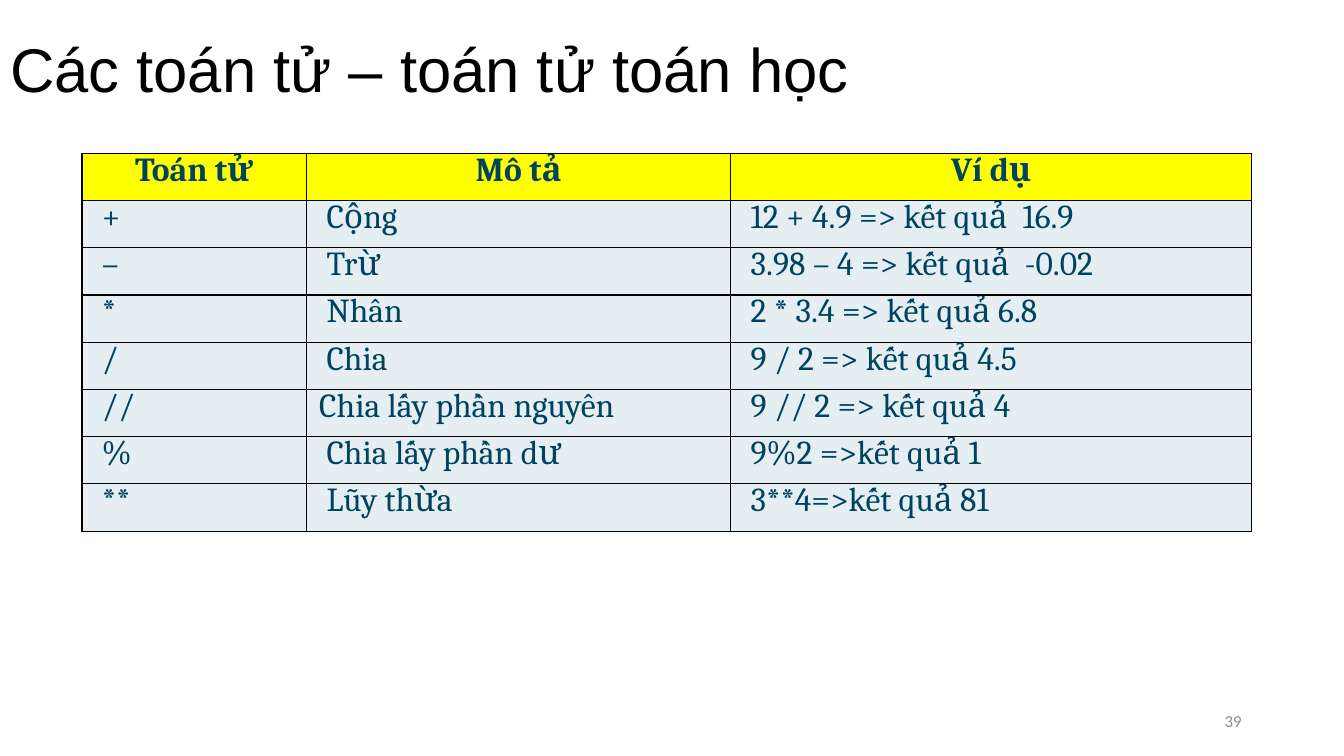
from dataclasses import dataclass

from lxml.etree import SubElement
from pptx import Presentation
from pptx.dml.color import RGBColor
from pptx.enum.text import MSO_ANCHOR as Anchor, PP_ALIGN as Align
from pptx.oxml.ns import qn
from pptx.util import Pt

EMU_PER_PX = 9525
COLORS = {
    "black": "000000",
    "gray": "8C8C8C",
    "navy": "01435F",
    "yellow": "FFFF00",
    "pale": "E4EEF3",
}
HEADERS = ("Toán tử", "Mô tả", "Ví dụ")
COLUMN_WIDTHS = (214, 404, 496)
ROW_HEIGHT = 45
MARGIN_X, MARGIN_Y, TEXT_INDENT = 12, 4, 7


@dataclass(frozen=True)
class Operator:
    symbol: str
    description: str
    example: str
    indented: bool = True


@dataclass(frozen=True)
class TextStyle:
    font: str
    size: int
    color: str
    align: Align = Align.LEFT
    bold: bool = False


OPERATORS = (
    Operator("+", "Cộng", "12 + 4.9 => kết quả  16.9"),
    Operator("–", "Trừ", "3.98 – 4 => kết quả  -0.02"),
    Operator("*", "Nhân", "2 * 3.4 => kết quả 6.8"),
    Operator("/", "Chia", "9 / 2 => kết quả 4.5"),
    Operator("//", "Chia lấy phần nguyên", "9 // 2 => kết quả 4", indented=False),
    Operator("%", "Chia lấy phần dư", "9%2 =>kết quả 1"),
    Operator("**", "Lũy thừa", "3**4=>kết quả 81"),
)
TITLE = TextStyle("Arial", 44, "black")
NUMBER = TextStyle("Calibri", 12, "gray", Align.RIGHT)
HEADER = TextStyle("Cambria", 24, "navy", Align.CENTER, bold=True)
BODY = TextStyle("Cambria", 24, "navy")


def px(value: int) -> int:
    return value * EMU_PER_PX


def rgb(name: str) -> RGBColor:
    return RGBColor.from_string(COLORS[name])


def write(text_frame, text: str, style: TextStyle):
    text_frame.text = text
    paragraph = text_frame.paragraphs[0]
    paragraph.alignment = style.align
    font = paragraph.font
    font.name, font.size, font.bold = style.font, Pt(style.size), style.bold
    font.color.rgb = rgb(style.color)
    return paragraph


def add_borders(cell) -> None:
    properties = cell._tc.get_or_add_tcPr()
    for index, side in enumerate(("lnL", "lnR", "lnT", "lnB")):
        line = properties.makeelement(qn(f"a:{side}"), {"w": str(Pt(1))})
        fill = SubElement(line, qn("a:solidFill"))
        SubElement(fill, qn("a:srgbClr"), val=COLORS["black"])
        properties.insert(index, line)


def fill_cell(cell, text: str, style: TextStyle, fill: str, indent: int = 0) -> None:
    paragraph = write(cell.text_frame, text, style)
    paragraph.line_spacing = Pt(18)
    paragraph.space_after = Pt(18.8)
    cell.vertical_anchor = Anchor.MIDDLE
    cell.margin_left, cell.margin_right = px(MARGIN_X + indent), px(MARGIN_X)
    cell.margin_top = cell.margin_bottom = px(MARGIN_Y)
    cell.fill.solid()
    cell.fill.fore_color.rgb = rgb(fill)
    add_borders(cell)


def add_title(slide) -> None:
    title = slide.shapes.title
    title.left, title.top, title.width, title.height = 0, 0, px(1280), px(139)
    title.text_frame.vertical_anchor = Anchor.MIDDLE
    write(title.text_frame, "Các toán tử – toán tử toán học", TITLE).line_spacing = 0.9


def add_page_number(slide) -> None:
    box = slide.shapes.add_textbox(px(904), px(667), px(288), px(38))
    box.text_frame.word_wrap = True
    box.text_frame.vertical_anchor = Anchor.MIDDLE
    write(box.text_frame, "39", NUMBER)


def add_operator_table(slide) -> None:
    row_count = len(OPERATORS) + 1
    table = slide.shapes.add_table(
        row_count, len(HEADERS), px(78), px(146),
        px(sum(COLUMN_WIDTHS)), px(ROW_HEIGHT * row_count),
    ).table
    table.horz_banding = False
    for column, width in zip(table.columns, COLUMN_WIDTHS):
        column.width = px(width)
    for row in table.rows:
        row.height = px(ROW_HEIGHT)
    for column, text in enumerate(HEADERS):
        fill_cell(table.cell(0, column), text, HEADER, "yellow")
    for row, operator in enumerate(OPERATORS, start=1):
        description_indent = TEXT_INDENT if operator.indented else 0
        entries = (
            (operator.symbol, TEXT_INDENT),
            (operator.description, description_indent),
            (operator.example, TEXT_INDENT),
        )
        for column, (text, indent) in enumerate(entries):
            fill_cell(table.cell(row, column), text, BODY, "pale", indent)


def main() -> None:
    presentation = Presentation()
    presentation.slide_width, presentation.slide_height = px(1280), px(720)
    slide = presentation.slides.add_slide(presentation.slide_layouts[5])
    add_title(slide)
    add_page_number(slide)
    add_operator_table(slide)
    presentation.save("out.pptx")


if __name__ == "__main__":
    main()
